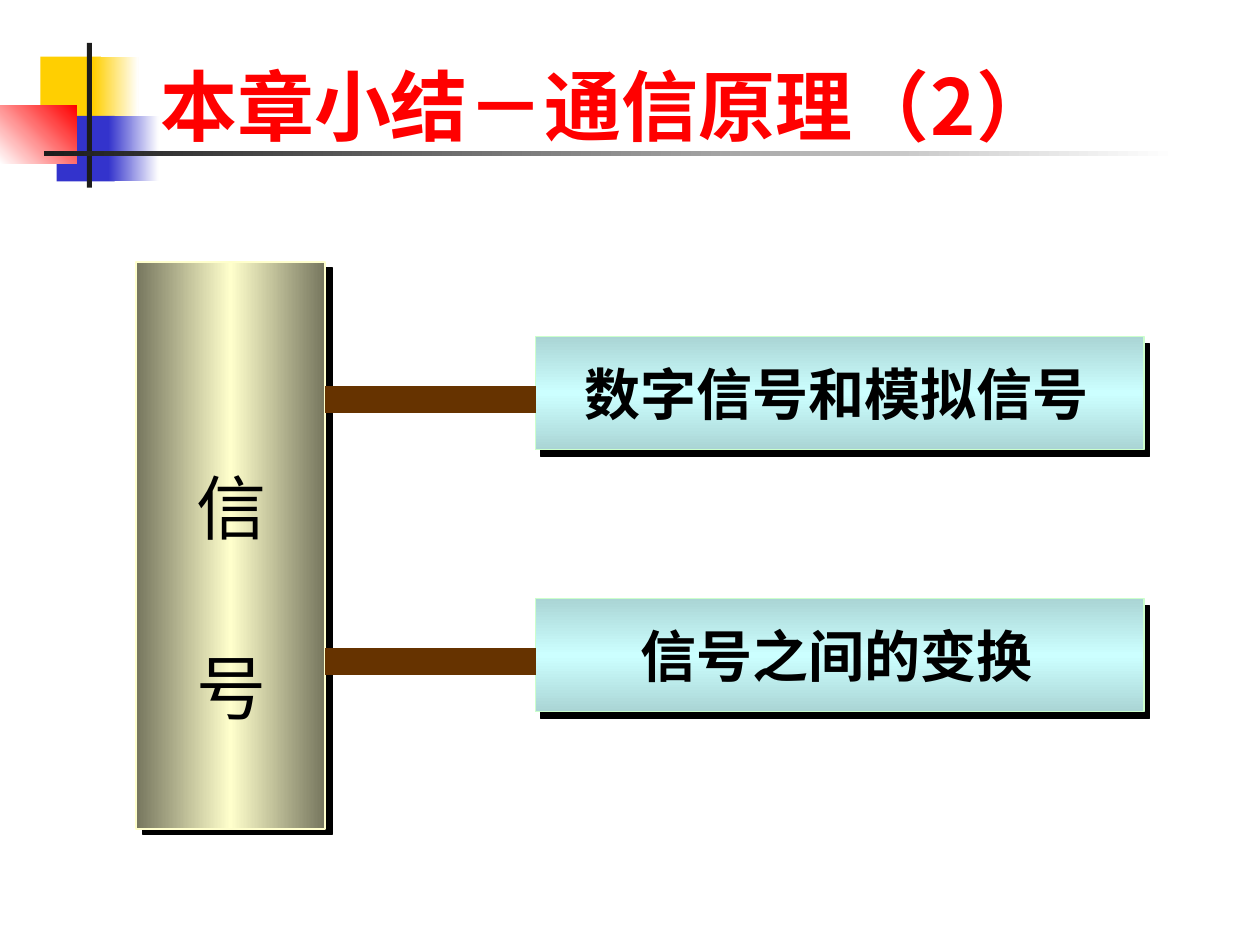
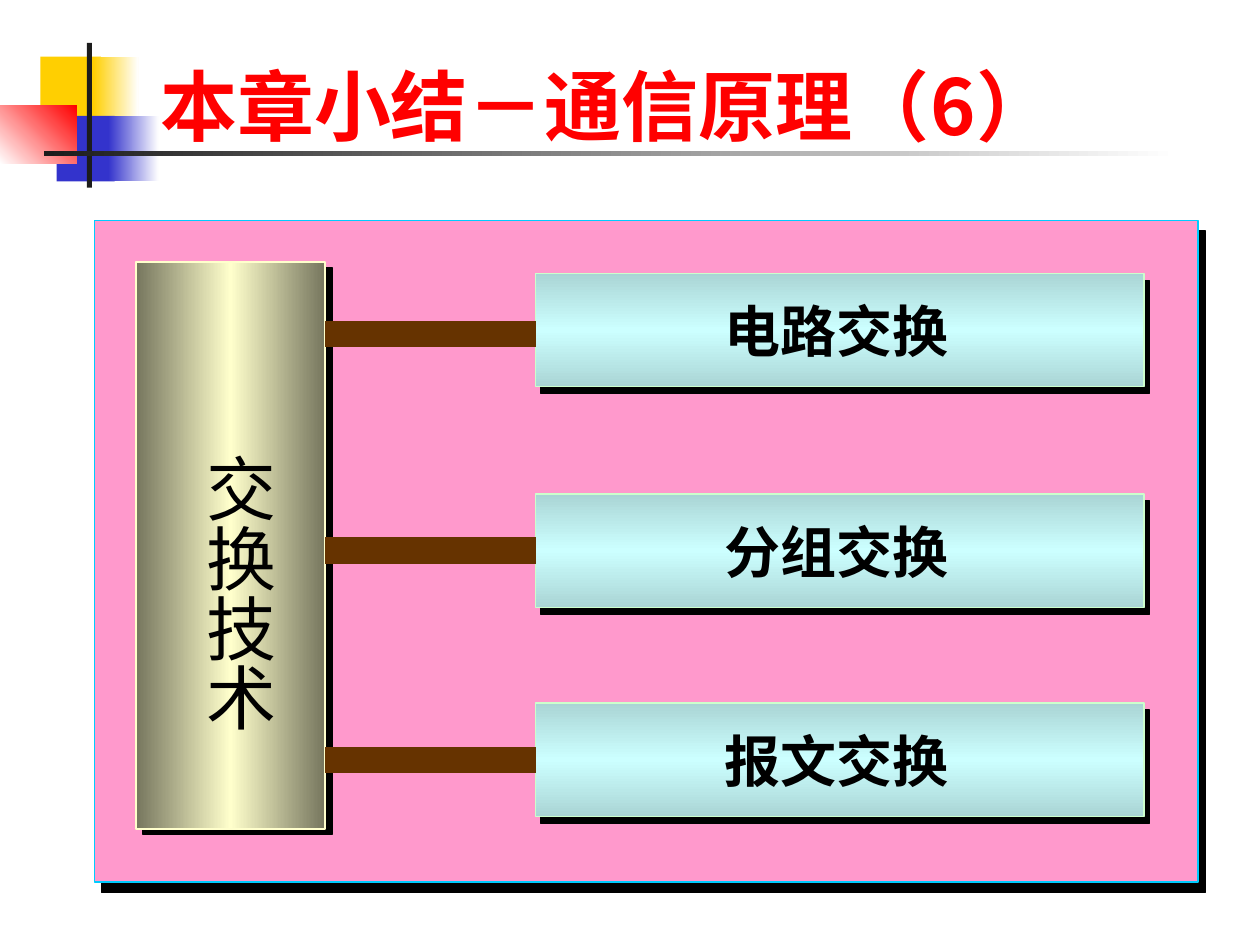
from lxml import etree
from pptx import Presentation
from pptx.dml.color import RGBColor
from pptx.enum import shapes, text
from pptx.oxml import parse_xml
from pptx.oxml.ns import nsdecls, qn
from pptx.util import Inches, Pt

HEADING_FONT = "Noto Sans CJK SC"
TOPIC_FONT = "Times New Roman"
YELLOW, BLUE, RED = "FFCF01", "3333CC", "FF0000"
WHITE, BLACK, CHARCOAL, BROWN = "FFFFFF", "000000", "1C1C1C", "663300"
CREAM, OLIVE, MINT = "FFFFCC", "76765E", "CCFFCC"
AQUA, TEAL, PINK, SKY = "CCFFFF", "AAD5D5", "FF99CC", "00CCFF"

BAR_LEFT, BAR_TOP, BAR_WIDTH, BAR_HEIGHT = 1.08, 2.08, 1.5, 4.5
BOX_LEFT, BOX_WIDTH, BOX_HEIGHT = 4.25, 4.83, 0.9


def color(value):
    return RGBColor.from_string(value)


class Deck:
    def __init__(self):
        self.presentation = Presentation()
        self.presentation.slide_width = Inches(10)
        self.presentation.slide_height = Inches(7.5)
        self.layout = self.presentation.slide_layouts[5]
        self.slide = None

    def new_slide(self, title):
        self.slide = self.presentation.slides.add_slide(self.layout)
        if len(self.presentation.slides) == 1:
            self.decorate_layout()
        shape = self.slide.shapes.title
        shape.left, shape.top = Inches(1.17), Inches(0.25)
        shape.width, shape.height = Inches(8.52), Inches(1)
        frame = shape.text_frame
        frame.auto_size = text.MSO_AUTO_SIZE.NONE
        frame.vertical_anchor = text.MSO_ANCHOR.BOTTOM
        frame.margin_bottom = Inches(0.05)
        frame.text = title
        frame.paragraphs[0].alignment = text.PP_ALIGN.LEFT
        self.font(frame.paragraphs[0], HEADING_FONT, 44, RED, True)

    def decorate_layout(self):
        """Put the coloured squares and rules behind every title."""
        parts = [
            (0.32, 0.45, 0.48, 0.52, [YELLOW], 0),
            (0.74, 0.45, 0.36, 0.52, [YELLOW, WHITE], 0),
            (0.45, 0.92, 0.46, 0.52, [BLUE], 0),
            (0.86, 0.92, 0.4, 0.52, [BLUE, WHITE], 0),
            (0, 0.84, 0.61, 0.46, [WHITE, RED], 315),
            (0.69, 0.34, 0.04, 1.15, [CHARCOAL], 0),
            (0.35, 1.2, 9, 0.04, [CHARCOAL, WHITE], 0),
        ]
        for number, (*place, fills, angle) in enumerate(parts, 100):
            element = self.rectangle(place, fills, angle)._element
            element.nvSpPr.cNvPr.set("id", str(number))
            self.layout.shapes._spTree.append(element)

    def font(self, paragraph, name, size, hex_color, bold=False):
        font = paragraph.font
        font.name, font.size, font.bold = name, Pt(size), bold
        font.color.rgb = color(hex_color)
        defaults = paragraph._p.pPr.find(qn("a:defRPr"))
        etree.SubElement(defaults, qn("a:ea"), typeface=HEADING_FONT)

    def rectangle(self, place, fills, angle=0, line=None, shadow=None, parent=None):
        """Several fills make an even gradient; shadow is (points, degrees)."""
        shape = (parent or self.slide).shapes.add_shape(
            shapes.MSO_SHAPE.RECTANGLE, *map(Inches, place))
        shape.shadow.inherit = False
        properties = shape._element.spPr
        if len(fills) == 1:
            shape.fill.solid()
            shape.fill.fore_color.rgb = color(fills[0])
        else:
            step = 100000 // (len(fills) - 1)
            stops = "".join(
                f'<a:gs pos="{i * step}"><a:srgbClr val="{fill}"/></a:gs>'
                for i, fill in enumerate(fills))
            gradient = parse_xml(
                f'<a:gradFill {nsdecls("a")} rotWithShape="1"><a:gsLst>{stops}</a:gsLst>'
                f'<a:lin ang="{angle * 60000}" scaled="0"/></a:gradFill>')
            properties.find(qn("a:prstGeom")).addnext(gradient)
        if line:
            shape.line.color.rgb = color(line)
            shape.line.width = Pt(0.75)
        else:
            shape.line.fill.background()
        if shadow:
            distance, direction = shadow
            properties.find(qn("a:effectLst")).append(parse_xml(
                f'<a:outerShdw {nsdecls("a")} dist="{Pt(distance)}" '
                f'dir="{direction * 60000}" algn="ctr" rotWithShape="0">'
                f'<a:srgbClr val="{BLACK}"/></a:outerShdw>'))
        return shape

    def bar(self):
        place = BAR_LEFT, BAR_TOP, BAR_WIDTH, BAR_HEIGHT
        self.rectangle(place, [OLIVE, CREAM, OLIVE], 0, CREAM, (5, 37))

    def topic(self, words, place, start, gap=0):
        """Vertical text from start down; gap is in points between characters."""
        frame = self.slide.shapes.add_textbox(*map(Inches, place)).text_frame
        frame.word_wrap = True
        frame.margin_left = frame.margin_right = Inches(0.05)
        frame.margin_top, frame.margin_bottom = Inches(start), Inches(0.1)
        frame._txBody.bodyPr.set("vert", "eaVert")
        paragraph = frame.paragraphs[0]
        paragraph.alignment = text.PP_ALIGN.LEFT
        for part in ([words[:-1], words[-1]] if gap else [words]):
            run = paragraph.add_run()
            run.text = part
        if gap:
            paragraph.runs[0]._r.get_or_add_rPr().set("spc", str(gap * 100))
        self.font(paragraph, TOPIC_FONT, 40, BLACK)

    def box(self, words, top):
        group = self.slide.shapes.add_group_shape()
        box = self.rectangle((BOX_LEFT, top, BOX_WIDTH, BOX_HEIGHT),
                             [TEAL, AQUA, TEAL], 90, MINT, (5, 53), group)
        label = group.shapes.add_textbox(
            Inches(BOX_LEFT + 0.38), Inches(top + 0.16), Inches(4.02), Inches(0.58))
        frame = label.text_frame
        frame.word_wrap = False
        frame.margin_left = frame.margin_right = 0
        frame.vertical_anchor = text.MSO_ANCHOR.MIDDLE
        frame.text = words
        frame.paragraphs[0].alignment = text.PP_ALIGN.CENTER
        self.font(frame.paragraphs[0], HEADING_FONT, 32, BLACK, True)
        return box

    def link(self, y, box=None):
        connector = self.slide.shapes.add_connector(
            shapes.MSO_CONNECTOR.STRAIGHT, Inches(BAR_LEFT + BAR_WIDTH), Inches(y),
            Inches(BOX_LEFT), Inches(y))
        connector.line.color.rgb = color(BROWN)
        connector.line.width = Pt(15)
        etree.SubElement(connector._element.spPr, qn("a:effectLst"))
        if box:
            connector.end_connect(box, 1)

    def branches(self, items):
        """Each item is (words, box top, link height)."""
        for words, top, y in items:
            box = self.box(words, top)
            centred = abs(top + BOX_HEIGHT / 2 - y) < 0.01
            self.link(y, box if centred else None)


def main():
    deck = Deck()

    # Signals
    deck.new_slide("本章小结－通信原理（2）")
    deck.bar()
    deck.topic("信号", (0.67, 3.17, 1.53, 3), start=0.58, gap=63)
    deck.branches([("数字信号和模拟信号", 2.67, 3.17),
                   ("信号之间的变换", 4.75, 5.25)])

    # Switching techniques
    deck.new_slide("本章小结－通信原理（6）")
    deck.rectangle((0.75, 1.75, 8.76, 5.25), [PINK], 0, SKY, (7.2, 56))
    deck.bar()
    deck.topic("交换技术", (1.42, 3.25, 0.86, 2.92), start=0.35)
    deck.branches([("电路交换", 2.17, 2.65),
                   ("分组交换", 3.92, 4.37),
                   ("报文交换", 5.58, 6.03)])

    deck.presentation.save("out.pptx")


if __name__ == "__main__":
    main()
